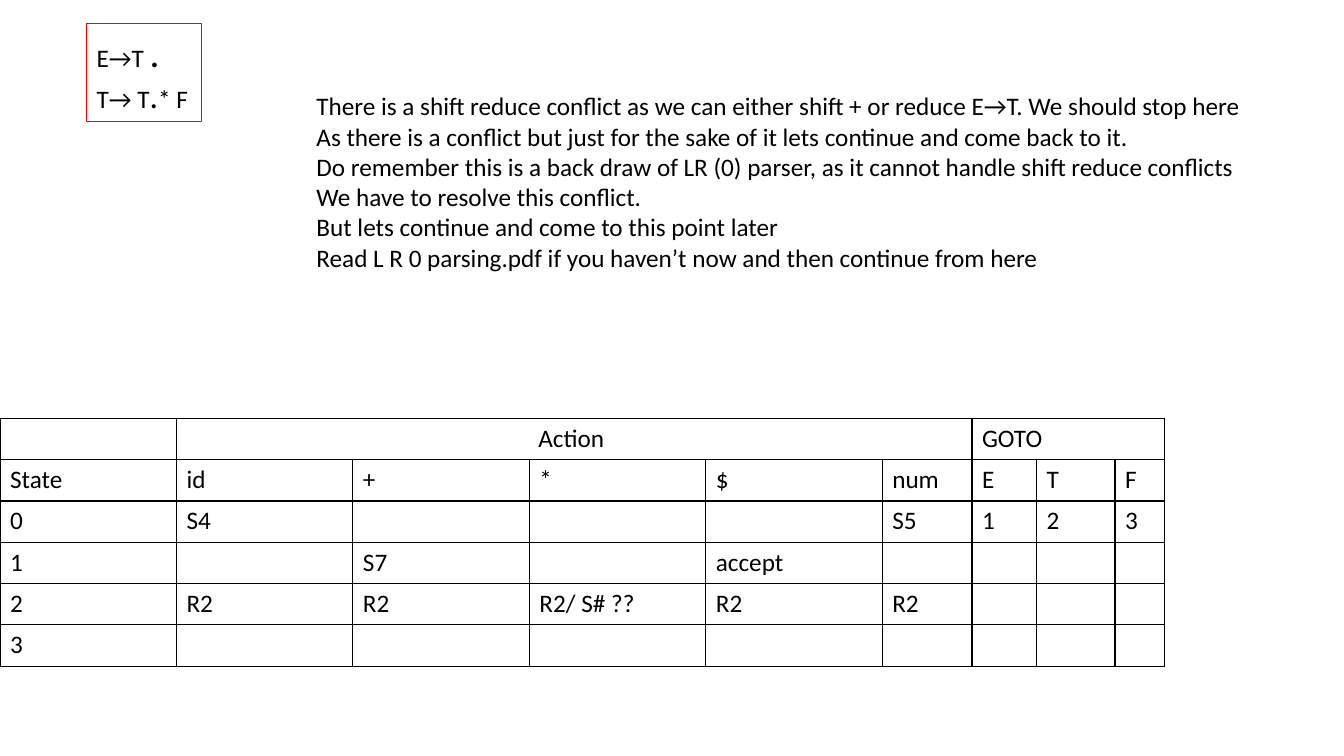
from dataclasses import dataclass

from lxml.etree import SubElement
from pptx import Presentation
from pptx.dml.color import RGBColor as RGB
from pptx.enum.shapes import MSO_SHAPE as SHAPE
from pptx.enum.text import MSO_ANCHOR as ANCHOR, PP_ALIGN as ALIGN
from pptx.oxml.ns import qn
from pptx.util import Pt

PX = 9144  # EMU per px, 100 px to the inch


@dataclass(frozen=True)
class Theme:
    font: str = "Calibri"
    ink: RGB = RGB(0, 0, 0)
    paper: RGB = RGB(255, 255, 255)
    accent: RGB = RGB(255, 0, 0)
    body: int = 18
    dot: int = 24
    big_dot: int = 28
    outline: float = 0.75
    grid: int = 1


THEME = Theme()

# Each line is a list of (text, size) runs
ITEMS = [
    [("E→T ", THEME.body), (".", THEME.big_dot)],
    [("T→ T", THEME.body), (".", THEME.dot), ("* F", THEME.body)],
]
NOTES = [
    "There is a shift reduce conflict as we can either shift + or reduce E→T. We should stop here",
    "As there is a conflict but just for the sake of it lets continue and come back to it.",
    "Do remember this is a back draw of LR (0) parser, as it cannot handle shift reduce conflicts",
    "We have to resolve this conflict.",
    "But lets continue and come to this point later",
    "Read L R 0 parsing.pdf if you haven’t now and then continue from here",
]
COLUMNS = [175] * 5 + [89, 64, 78, 49]
ROWS = [
    ["", "Action ", "", "", "", "", "GOTO", "", ""],
    ["State", "id", "+", "*", "$", "num", "E", "T", "F"],
    ["0", "S4", "", "", "", "S5", "1", "2", "3"],
    ["1", "", "S7", "", "accept", "", "", "", ""],
    ["2", "R2", "R2", "R2/ S# ??", "R2", "R2", "", "", ""],
    ["3", "", "", "", "", "", "", "", ""],
]
HEADER_SPANS = [(1, 5), (6, 8)]  # first and last column of each group


def emu(box):
    return [v * PX for v in box]


def add_run(p, text, size=THEME.body):
    r = p.add_run()
    r.text = text
    r.font.name = THEME.font
    r.font.size = Pt(size)
    r.font.color.rgb = THEME.ink


def write_lines(tf, lines):
    tf.word_wrap = False
    for i, runs in enumerate(lines):
        p = tf.add_paragraph() if i else tf.paragraphs[0]
        p.alignment = ALIGN.LEFT
        for text, size in runs:
            add_run(p, text, size)


def set_borders(cell):
    tc_pr = cell._tc.get_or_add_tcPr()
    for i, side in enumerate(("lnL", "lnR", "lnT", "lnB")):
        ln = SubElement(tc_pr, qn("a:" + side), w=str(Pt(THEME.grid)))
        fill = SubElement(ln, qn("a:solidFill"))
        SubElement(fill, qn("a:srgbClr"), val=str(THEME.ink))
        tc_pr.insert(i, ln)  # borders come before the cell fill


# Red box with the conflicting items
def add_item_box(slide, box):
    s = slide.shapes.add_shape(SHAPE.RECTANGLE, *emu(box))
    s.shadow.inherit = False
    s.fill.solid()
    s.fill.fore_color.rgb = THEME.paper
    s.line.color.rgb = THEME.accent
    s.line.width = Pt(THEME.outline)
    s.text_frame.vertical_anchor = ANCHOR.TOP
    write_lines(s.text_frame, ITEMS)


# Remarks on the conflict
def add_notes_text(slide, box):
    s = slide.shapes.add_textbox(*emu(box))
    write_lines(s.text_frame, [[(line, THEME.body)] for line in NOTES])


# Action / GOTO parsing table
def add_parsing_table(slide, box):
    table = slide.shapes.add_table(len(ROWS), len(COLUMNS), *emu(box)).table
    table.first_row = table.horz_banding = False
    for column, width in zip(table.columns, COLUMNS):
        column.width = width * PX
    for row, texts in zip(table.rows, ROWS):
        row.height = box[3] // len(ROWS) * PX
        for cell, text in zip(row.cells, texts):
            cell.fill.background()
            set_borders(cell)
            if text:
                add_run(cell.text_frame.paragraphs[0], text)
    for first, last in HEADER_SPANS:
        table.cell(0, first).merge(table.cell(0, last))
    table.cell(0, 1).text_frame.paragraphs[0].alignment = ALIGN.CENTER


def main():
    prs = Presentation()
    prs.slide_width, prs.slide_height = emu((1333, 750))
    slide = prs.slides.add_slide(prs.slide_layouts[6])
    add_parsing_table(slide, (0, 415, sum(COLUMNS), 246))
    add_item_box(slide, (86, 23, 114, 98))
    add_notes_text(slide, (304, 85, 951, 192))
    prs.save("out.pptx")


if __name__ == "__main__":
    main()
